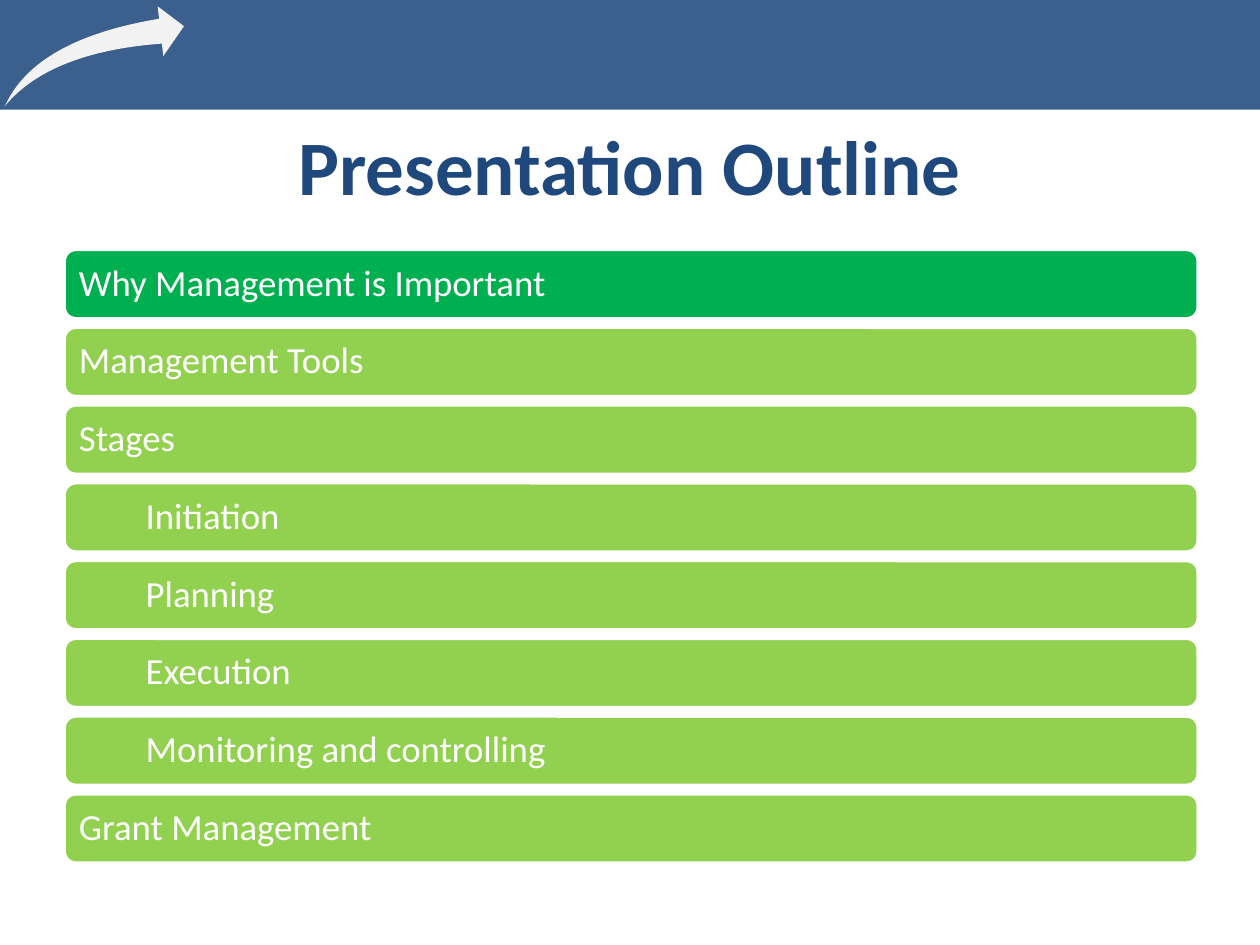
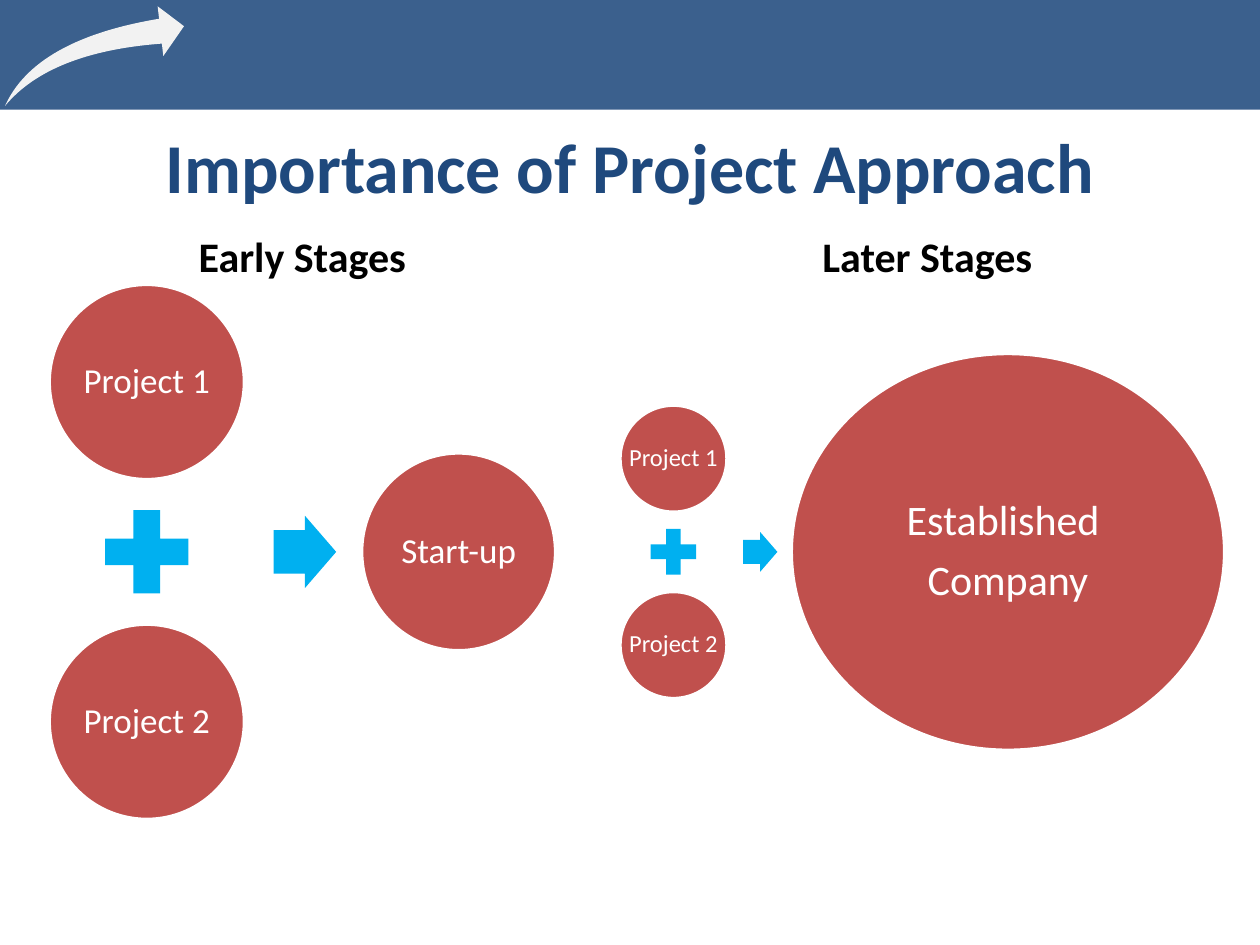
from dataclasses import dataclass

from lxml.etree import SubElement
from pptx import Presentation
from pptx.dml.color import RGBColor
from pptx.enum.shapes import MSO_SHAPE as Preset
from pptx.enum.text import MSO_ANCHOR as Anchor, PP_ALIGN as Align
from pptx.oxml.ns import qn
from pptx.shapes.autoshape import Shape
from pptx.slide import Slide
from pptx.util import Inches, Pt

FONT = "Calibri"
COLORS = {
    "navy": "1F497D",
    "swoosh": "F2F2F2",
    "current": "00B050",
    "topic": "92D050",
    "circle": "C0504D",
    "operator": "00B0F0",
    "white": "FFFFFF",
    "black": "000000",
}
BAND_OPACITY = 87

TOPIC_LEFT, TOPIC_WIDTH, TOPIC_HEIGHT = 0.51, 9, 0.55
FIRST_TOPIC_TOP, LAST_TOPIC_TOP = 1.98, 6.3
TOPIC_INSET, SUBTOPIC_INDENT = 0.09, 0.53

SUM_MIDDLE = 4.38


@dataclass
class Topic:
    text: str
    color: str = "topic"
    indent: float = 0


@dataclass
class ProjectSum:
    """Two projects that add up to a result; the diameter scales all but the result."""
    heading: str
    heading_left: float
    heading_width: float
    left: float
    diameter: float
    project_size: int
    result: list[str]
    result_width: float
    result_height: float
    result_size: int


TOPICS = [
    Topic("Why Management is Important", "current"),
    Topic("Management Tools"),
    Topic("Stages"),
    Topic("Initiation", indent=SUBTOPIC_INDENT),
    Topic("Planning", indent=SUBTOPIC_INDENT),
    Topic("Execution", indent=SUBTOPIC_INDENT),
    Topic("Monitoring and controlling", indent=SUBTOPIC_INDENT),
    Topic("Grant Management"),
]
PROJECT_SUMS = [
    ProjectSum("Early Stages", 1.06, 2.68, 0.39, 1.55, 20,
               ["Start-up"], 1.54, 1.57, 20),
    ProjectSum("Later Stages", 6.1, 2.52, 4.92, 0.85, 14,
               ["Established ", "Company"], 3.44, 3.15, 24),
]


def rgb(color: str) -> RGBColor:
    return RGBColor.from_string(COLORS[color])


def add_preset(slide: Slide, preset: Preset, left: float, top: float, width: float,
               height: float, color: str, outlined: bool = False) -> Shape:
    shape = slide.shapes.add_shape(
        preset, Inches(left), Inches(top), Inches(width), Inches(height))
    shape.shadow.inherit = False
    shape.fill.solid()
    shape.fill.fore_color.rgb = rgb(color)
    if outlined:
        shape.line.color.rgb = rgb("white")
        shape.line.width = Pt(2)
    else:
        shape.line.fill.background()
    return shape


def write(shape: Shape, lines: list[str], size: int, color: str,
          align: Align = Align.CENTER, bold: bool = False) -> None:
    frame = shape.text_frame
    frame.text = "\n".join(lines)
    for paragraph in frame.paragraphs:
        paragraph.alignment = align
        font = paragraph.font
        font.name, font.size, font.bold = FONT, Pt(size), bold
        font.color.rgb = rgb(color)


def label(shape: Shape, lines: list[str], size: int, inset: float,
          align: Align = Align.CENTER, indent: float = 0) -> None:
    """Write white text in a diagram shape, with the diagrams' tight spacing."""
    write(shape, lines, size, "white", align)
    frame = shape.text_frame
    frame.word_wrap = False
    frame.vertical_anchor = Anchor.MIDDLE
    frame.margin_left = Inches(inset + indent)
    frame.margin_right = frame.margin_top = frame.margin_bottom = Inches(inset)
    for paragraph in frame.paragraphs:
        paragraph.line_spacing = 0.9
        paragraph.space_after = Pt(round(size * 0.35))


def add_titled_slide(deck: Presentation, title: str, size: int) -> Slide:
    slide = deck.slides.add_slide(deck.slide_layouts[5])
    band = add_preset(slide, Preset.RECTANGLE, 0, -0.01, 10, 0.88, "navy")
    band_color = band.fill._xPr.find(qn("a:solidFill"))[0]
    SubElement(band_color, qn("a:alpha"), val=str(BAND_OPACITY * 1000))
    swoosh = add_preset(slide, Preset.SWOOSH_ARROW, 0.04, 0.05, 1.42, 0.79, "swoosh")
    swoosh.adjustments[0] = swoosh.adjustments[1] = 0.25

    heading = slide.shapes.title
    heading.left, heading.top = Inches(0.5), Inches(0.84)
    heading.width, heading.height = Inches(9), Inches(0.94)
    heading.text_frame.vertical_anchor = Anchor.MIDDLE
    write(heading, [title], size, "navy", bold=True)
    return slide


def add_topics(slide: Slide) -> None:
    pitch = (LAST_TOPIC_TOP - FIRST_TOPIC_TOP) / (len(TOPICS) - 1)
    for position, topic in enumerate(TOPICS):
        bar = add_preset(slide, Preset.ROUNDED_RECTANGLE, TOPIC_LEFT,
                         FIRST_TOPIC_TOP + position * pitch,
                         TOPIC_WIDTH, TOPIC_HEIGHT, topic.color, outlined=True)
        label(bar, [topic.text], 21, TOPIC_INSET, Align.LEFT, topic.indent)


def add_circle(slide: Slide, lines: list[str], left: float, middle: float,
               width: float, height: float, size: int) -> None:
    circle = add_preset(slide, Preset.OVAL, left, middle - height / 2,
                        width, height, "circle", outlined=True)
    label(circle, lines, size, 0.03)


def add_project_sum(slide: Slide, part: ProjectSum) -> None:
    heading = slide.shapes.add_textbox(
        Inches(part.heading_left), Inches(1.78), Inches(part.heading_width), Inches(0.51))
    heading.text_frame.word_wrap = True
    write(heading, [part.heading], 24, "black", bold=True)

    diameter = part.diameter
    for number, side in ((1, -1), (2, 1)):
        add_circle(slide, [f"Project {number}"], part.left,
                   SUM_MIDDLE + side * 0.87 * diameter,
                   diameter, diameter, part.project_size)

    plus = 0.58 * diameter
    add_preset(slide, Preset.MATH_PLUS, part.left + (diameter - plus) / 2,
               SUM_MIDDLE - plus / 2, plus, plus, "operator")

    arrow_height = 0.37 * diameter
    arrow = add_preset(slide, Preset.RIGHT_ARROW, part.left + 1.15 * diameter,
                       SUM_MIDDLE - arrow_height / 2,
                       0.32 * diameter, arrow_height, "operator")
    arrow.adjustments[0], arrow.adjustments[1] = 0.6, 0.5

    add_circle(slide, part.result, part.left + 1.6 * diameter, SUM_MIDDLE,
               part.result_width, part.result_height, part.result_size)


def main() -> None:
    deck = Presentation()
    deck.slide_width, deck.slide_height = Inches(10), Inches(7.5)

    add_topics(add_titled_slide(deck, "Presentation Outline", 44))

    approach = add_titled_slide(deck, "Importance of Project Approach", 40)
    for part in PROJECT_SUMS:
        add_project_sum(approach, part)

    deck.save("out.pptx")


if __name__ == "__main__":
    main()
